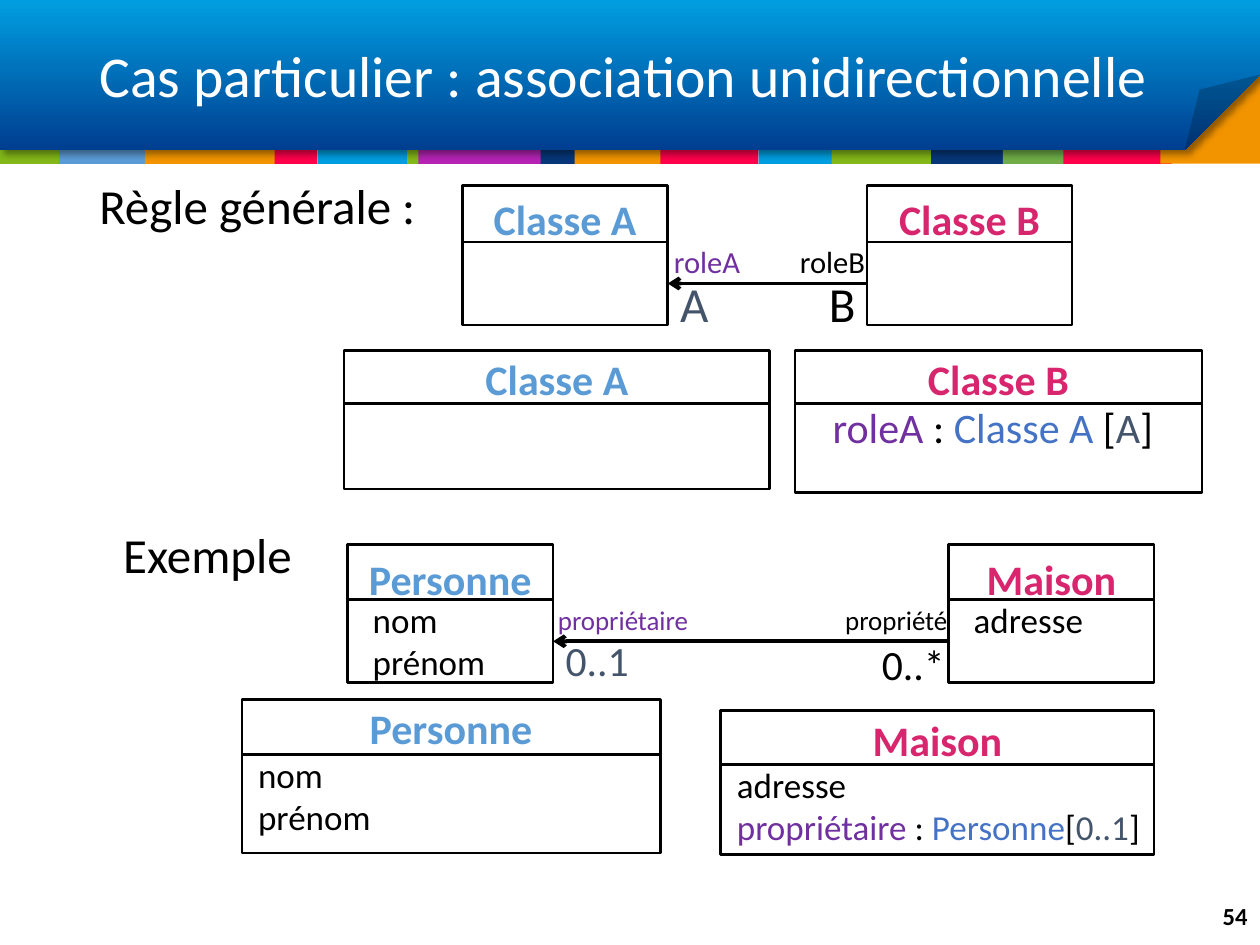
from dataclasses import dataclass

from lxml.etree import SubElement
from pptx import Presentation
from pptx.dml.color import RGBColor
from pptx.enum.shapes import MSO_CONNECTOR, MSO_SHAPE
from pptx.enum.text import MSO_ANCHOR, PP_ALIGN
from pptx.oxml.ns import qn
from pptx.util import Inches, Pt


@dataclass(frozen=True)
class Theme:
    """Colours, type sizes and line widths of the slide."""
    font: str = "Calibri"
    black: str = "000000"
    white: str = "FFFFFF"
    class_a: str = "5B9BD5"
    class_b: str = "D8266E"
    role: str = "7030A0"
    type_name: str = "4472C4"
    multiplicity: str = "44546A"
    green: str = "83B818"
    orange: str = "F29400"
    red: str = "FF014B"
    cyan: str = "009EE0"
    purple: str = "B523B4"
    navy: str = "073779"
    leaf: str = "70AD47"
    banner_end: str = "003E90"
    title: float = 33
    heading: float = 28
    class_name: float = 24
    attribute: float = 20
    count: float = 23.8
    role_large: float = 17.5
    role_small: float = 15.4
    page_number: float = 14
    border: float = 1.5
    arrow: float = 2.25


THEME = Theme()

STRIPES = [
    (2.97, 0.51, THEME.green), (0, 0.51, THEME.green), (0.47, 0.69, THEME.class_a),
    (1.15, 1.1, THEME.orange), (2.18, 0.34, THEME.red), (2.52, 0.71, THEME.cyan),
    (3.32, 1.01, THEME.purple), (4.29, 0.28, THEME.navy), (4.56, 0.71, THEME.orange),
    (5.24, 0.78, THEME.red), (6.02, 0.61, THEME.cyan), (6.6, 0.91, THEME.green),
    (7.39, 0.58, THEME.navy), (7.96, 0.5, THEME.leaf), (8.44, 0.86, THEME.red),
]


def color(value):
    """Turn a hex string into a colour."""
    return RGBColor.from_string(value)


def apply_format(target, values):
    """Set every attribute named in a dict of format values."""
    for name, value in values.items():
        setattr(target, name, value)


def add_rectangle(slide, left, top, width, height, fill, border=None):
    """Add a flat rectangle, bordered when a border colour is given."""
    box = slide.shapes.add_shape(MSO_SHAPE.RECTANGLE, Inches(left), Inches(top), Inches(width), Inches(height))
    box.shadow.inherit = False
    box.fill.solid()
    box.fill.fore_color.rgb = color(fill)
    if border:
        box.line.color.rgb = color(border)
        box.line.width = Pt(THEME.border)
    else:
        box.line.fill.background()
    return box


def add_text(slide, left, top, width, height, paragraphs, size, bold=False, anchor=MSO_ANCHOR.TOP, **layout):
    """Add a text box from paragraphs, each a list of (text, colour) spans."""
    box = slide.shapes.add_textbox(Inches(left), Inches(top), Inches(width), Inches(height))
    frame = box.text_frame
    apply_format(frame, {"word_wrap": True, "vertical_anchor": anchor})
    for index, spans in enumerate(paragraphs):
        para = frame.paragraphs[0] if index == 0 else frame.add_paragraph()
        apply_format(para, layout)
        for text, tint in spans:
            span = para.add_run()
            span.text = text
            apply_format(span.font, {"name": THEME.font, "size": Pt(size), "bold": bold})
            span.font.color.rgb = color(tint)


def add_banner(slide):
    """Add the coloured stripes and the folded gradient banner."""
    for left, width, fill in STRIPES:
        add_rectangle(slide, left, 0.81, width, 0.49, fill)
    add_rectangle(slide, 9.21, 0.47, 0.79, 0.83, THEME.orange)
    banner = slide.shapes.add_shape(MSO_SHAPE.FOLDED_CORNER, 0, 0, Inches(10), Inches(1.19))
    geometry = banner.element.spPr.find(qn("a:prstGeom"))
    SubElement(geometry.find(qn("a:avLst")), qn("a:gd"), name="adj", fmla="val 50000")
    banner.line.fill.background()
    banner.fill.gradient()
    banner.fill.gradient_angle = 270
    for stop, tint in zip(banner.fill.gradient_stops, (THEME.cyan, THEME.banner_end)):
        stop.color.rgb = color(tint)
    effects = SubElement(banner.element.spPr, qn("a:effectLst"))
    shadow = SubElement(effects, qn("a:outerShdw"), blurRad=str(Pt(4)), dist=str(Pt(3)), dir="2700000")
    tint = SubElement(shadow, qn("a:srgbClr"), val=THEME.black)
    SubElement(tint, qn("a:alpha"), val="40000")


def add_class(slide, left, top, width, heights, name, tint, name_shift, attributes=(), indent=0.1, size=THEME.attribute):
    """Add a class with its name and attributes and return its lower compartment."""
    head, body = heights
    add_rectangle(slide, left, top, width, head, THEME.white, THEME.black)
    compartment = add_rectangle(slide, left, top + head, width, body, THEME.white, THEME.black)
    add_text(slide, left, top + name_shift, width, 0.5, [[(name, tint)]],
             THEME.class_name, bold=True, alignment=PP_ALIGN.CENTER)
    if attributes:
        add_text(slide, left + indent, top + head - 0.06, width - indent, body, attributes, size)
    return compartment


def add_association(slide, owner, target):
    """Join two classes with an arrow that points at the owner."""
    line = slide.shapes.add_connector(MSO_CONNECTOR.STRAIGHT, 0, 0, 0, 0)
    line.begin_connect(owner, 3)
    line.end_connect(target, 1)
    line.line.color.rgb = color(THEME.black)
    line.line.width = Pt(THEME.arrow)
    properties = line._element.spPr
    SubElement(properties.find(qn("a:ln")), qn("a:headEnd"), type="arrow")
    SubElement(properties, qn("a:effectLst"))


def add_labels(slide, labels):
    """Add one-line labels given as (left, top, width, text, colour, size, spacing)."""
    for left, top, width, text, tint, size, spacing in labels:
        add_text(slide, left, top, width, 0.5, [[(text, tint)]], size, line_spacing=spacing)


def typed_attribute(role, type_name, count):
    """Return the spans of an attribute that replaces an association."""
    return [(f"{role} ", THEME.role), (":", THEME.black), (f" {type_name}", THEME.type_name),
            ("[", THEME.black), (count, THEME.multiplicity), ("]", THEME.black)]


def add_general_rule(slide):
    """Add the general rule: the association and the classes it gives."""
    small, role = (0.45, 0.66), THEME.role_large
    class_a = add_class(slide, 3.67, 1.47, 1.63, small, "Classe A", THEME.class_a, 0.02)
    class_b = add_class(slide, 6.88, 1.47, 1.63, small, "Classe B", THEME.class_b, 0.02)
    add_association(slide, class_a, class_b)
    add_class(slide, 2.73, 2.78, 3.38, (0.42, 0.68), "Classe A", THEME.class_a, -0.02)
    add_class(slide, 6.31, 2.78, 3.23, (0.42, 0.71), "Classe B", THEME.class_b, -0.02,
              [typed_attribute("roleA", "Classe A ", "A")], 0.2, THEME.class_name)
    add_labels(slide, [
        (0.69, 1.4, 2.9, "Règle générale :", THEME.black, THEME.heading, 0.9),
        (5.3, 2.21, 0.47, "A", THEME.multiplicity, THEME.heading, 0.8),
        (6.48, 2.21, 0.47, "B", THEME.black, THEME.heading, 0.8),
        (5.25, 1.96, 0.77, "roleA", THEME.role, role, 0.7),
        (6.25, 1.96, 0.77, "roleB", THEME.black, role, 0.7),
    ])


def add_example(slide):
    """Add the example: the association and the classes it gives."""
    small, role = (0.44, 0.66), THEME.role_small
    names = [[("nom", THEME.black)], [("prénom", THEME.black)]]
    address = [("adresse", THEME.black)]
    person = add_class(slide, 2.76, 4.32, 1.63, small, "Personne", THEME.class_a, 0.02, names)
    house = add_class(slide, 7.53, 4.32, 1.63, small, "Maison", THEME.class_b, 0.02, [address])
    add_association(slide, person, house)
    add_class(slide, 1.92, 5.55, 3.32, (0.44, 0.78), "Personne", THEME.class_a, -0.02, names, 0.03)
    add_class(slide, 5.72, 5.64, 3.44, (0.43, 0.71), "Maison", THEME.class_b, -0.02,
              [address, typed_attribute("propriétaire", "Personne", "0..1")], 0.03)
    add_labels(slide, [
        (0.88, 4.17, 1.8, "Exemple", THEME.black, THEME.heading, 0.9),
        (4.39, 5.1, 0.75, "0..1", THEME.multiplicity, THEME.count, 0.7),
        (6.9, 5.1, 0.71, "0..*", THEME.black, THEME.count, 0.8),
        (4.33, 4.81, 1.27, "propriétaire", THEME.role, role, 0.7),
        (6.61, 4.81, 1.07, "propriété", THEME.black, role, 0.7),
    ])


def main():
    """Build and save the slide."""
    deck = Presentation()
    apply_format(deck, {"slide_width": Inches(10), "slide_height": Inches(7.5)})
    slide = deck.slides.add_slide(deck.slide_layouts[6])
    add_banner(slide)
    add_text(slide, 0.69, 0.25, 8.62, 0.75, [[("Cas particulier : association unidirectionnelle", THEME.white)]],
             THEME.title, anchor=MSO_ANCHOR.MIDDLE, line_spacing=0.9)
    add_text(slide, 9.31, 7.07, 0.69, 0.4, [[("54", THEME.black)]], THEME.page_number,
             bold=True, anchor=MSO_ANCHOR.MIDDLE, alignment=PP_ALIGN.RIGHT)
    add_general_rule(slide)
    add_example(slide)
    deck.save("out.pptx")


if __name__ == "__main__":
    main()
